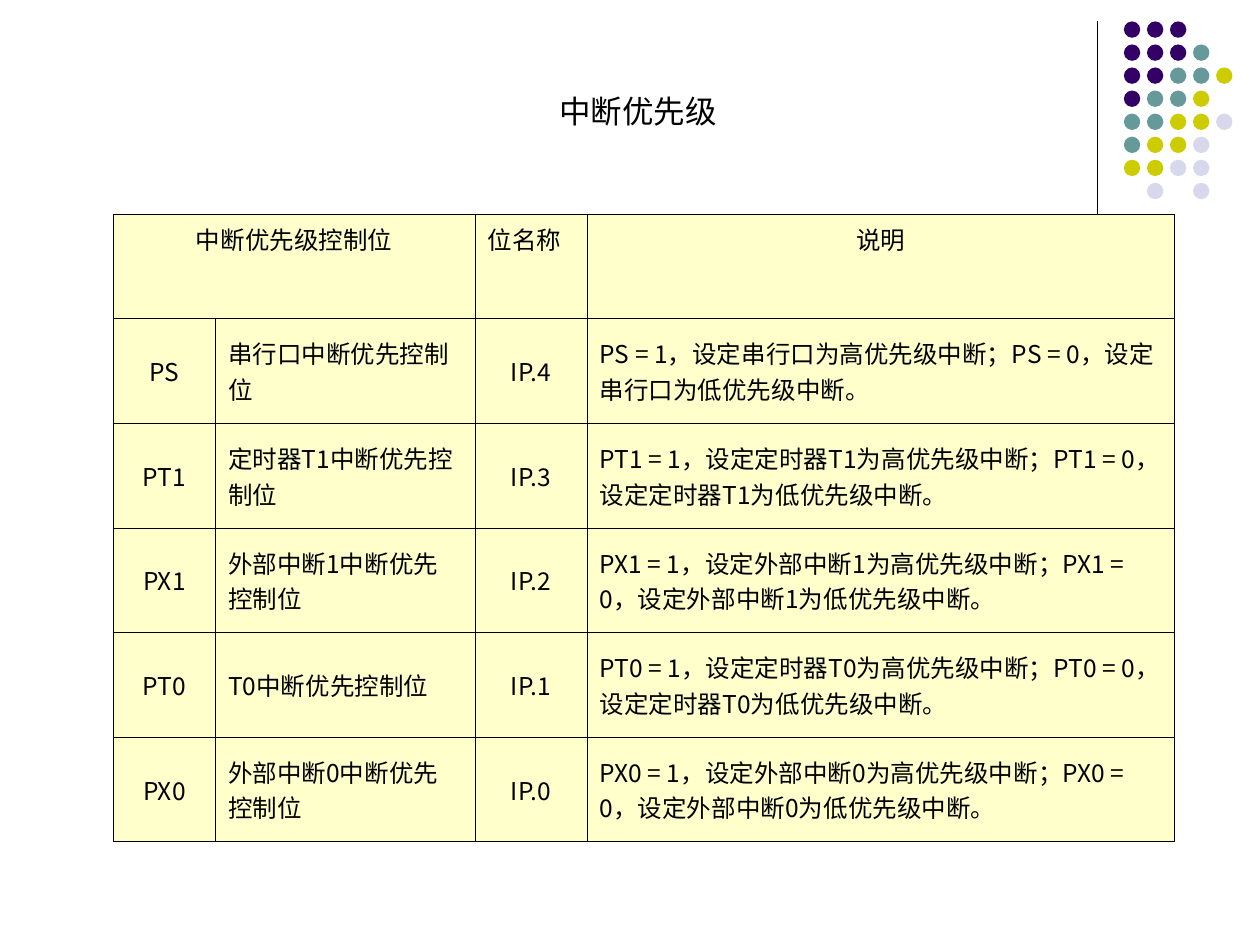
from dataclasses import dataclass

from lxml.etree import SubElement
from pptx import Presentation
from pptx.dml.color import RGBColor
from pptx.enum.shapes import MSO_CONNECTOR, MSO_SHAPE
from pptx.enum.text import MSO_ANCHOR, MSO_AUTO_SIZE, PP_ALIGN
from pptx.oxml import parse_xml
from pptx.oxml.ns import nsdecls, qn
from pptx.slide import Slide
from pptx.table import _Cell
from pptx.text.text import _Paragraph
from pptx.util import Inches, Pt


@dataclass(frozen=True)
class Theme:
    ink: str = "000000"
    cell_fill: str = "FFFFCC"
    purple: str = "330066"
    teal: str = "669999"
    olive: str = "CCCC00"
    lavender: str = "D8D8EC"
    title_size: float = 18
    table_size: float = 14
    rule_width: float = 0.75
    border_width: float = 0.45
    latin_font: str = "Arial"
    cjk_font: str = "Noto Sans CJK SC"


@dataclass(frozen=True)
class PriorityBit:
    symbol: str
    control: str
    source: str
    position: int

    def cells(self) -> list[str]:
        meaning = (f"{self.symbol} = 1，设定{self.source}为高优先级中断；"
                   f"{self.symbol} = 0，设定{self.source}为低优先级中断。")
        return [self.symbol, f"{self.control}中断优先控制位", f"IP.{self.position}", meaning]


THEME = Theme()
HEADER = ["中断优先级控制位", "", "位名称", "说明"]
PRIORITY_BITS = [
    PriorityBit("PS", "串行口", "串行口", 4),
    PriorityBit("PT1", "定时器T1", "定时器T1", 3),
    PriorityBit("PX1", "外部中断1", "外部中断1", 2),
    PriorityBit("PT0", "T0", "定时器T0", 1),
    PriorityBit("PX0", "外部中断0", "外部中断0", 0),
]
COLUMN_WIDTHS = [0.81, 2.06, 0.89, 4.66]
ROW_HEIGHT = 0.83

DOT_COLORS = {"P": THEME.purple, "T": THEME.teal, "O": THEME.olive, "L": THEME.lavender}
DOT_ROWS = ["PPP", "PPPT", "PPTTO", "PTTO", "TTOOL", "TOOL", "OOLL", ".L.L"]
DOT_LEFT, DOT_TOP, DOT_PITCH, DOT_SIZE = 8.92, 0.17, 0.183, 0.13


def rgb(color: str) -> RGBColor:
    return RGBColor.from_string(color)


def style_text(paragraph: _Paragraph, size: float, latin_font: str, align: PP_ALIGN) -> None:
    paragraph.alignment = align
    for run in paragraph.runs:
        run.font.size = Pt(size)
        run.font.name = latin_font
        run.font.color.rgb = rgb(THEME.ink)
        east_asian = SubElement(run.font._element, qn("a:ea"))
        east_asian.set("typeface", THEME.cjk_font)


def draw_rule(slide: Slide) -> None:
    rule = slide.shapes.add_connector(
        MSO_CONNECTOR.STRAIGHT, Inches(8.71), Inches(0.17), Inches(8.71), Inches(1.83))
    rule.line.color.rgb = rgb(THEME.ink)
    rule.line.width = Pt(THEME.rule_width)
    SubElement(rule._element.spPr, qn("a:effectLst"))


def draw_dots(slide: Slide) -> None:
    dots = slide.shapes.add_group_shape()
    for row, pattern in enumerate(DOT_ROWS):
        for column, code in enumerate(pattern):
            if code not in DOT_COLORS:
                continue
            dot = dots.shapes.add_shape(
                MSO_SHAPE.OVAL,
                Inches(DOT_LEFT + column * DOT_PITCH), Inches(DOT_TOP + row * DOT_PITCH),
                Inches(DOT_SIZE), Inches(DOT_SIZE))
            dot.shadow.inherit = False
            dot.fill.solid()
            dot.fill.fore_color.rgb = rgb(DOT_COLORS[code])
            dot.line.fill.background()


def write_title(slide: Slide) -> None:
    title = slide.shapes.title
    title.left, title.top = Inches(1.69), Inches(0.68)
    title.width, title.height = Inches(6.85), Inches(0.4)
    frame = title.text_frame
    frame.text = "中断优先级"
    frame.auto_size = MSO_AUTO_SIZE.NONE
    frame.vertical_anchor = MSO_ANCHOR.MIDDLE
    frame.margin_right = Inches(0.2)
    style_text(frame.paragraphs[0], THEME.title_size, THEME.latin_font, PP_ALIGN.CENTER)


def add_borders(cell: _Cell) -> None:
    """Put the four edge lines ahead of the fill, as the schema requires."""
    properties = cell._tc.get_or_add_tcPr()
    for index, edge in enumerate(("lnL", "lnR", "lnT", "lnB")):
        properties.insert(index, parse_xml(
            f'<a:{edge} {nsdecls("a")} w="{Pt(THEME.border_width)}"><a:solidFill>'
            f'<a:srgbClr val="{THEME.ink}"/></a:solidFill></a:{edge}>'))


def fill_cell(cell: _Cell, text: str, align: PP_ALIGN, anchor: MSO_ANCHOR) -> None:
    cell.text_frame.text = text
    cell.vertical_anchor = anchor
    cell.fill.solid()
    cell.fill.fore_color.rgb = rgb(THEME.cell_fill)
    add_borders(cell)
    style_text(cell.text_frame.paragraphs[0], THEME.table_size, THEME.cjk_font, align)


def draw_priority_table(slide: Slide) -> None:
    rows = [HEADER] + [bit.cells() for bit in PRIORITY_BITS]
    table = slide.shapes.add_table(
        len(rows), len(COLUMN_WIDTHS), Inches(0.9), Inches(1.7),
        Inches(sum(COLUMN_WIDTHS)), Inches(ROW_HEIGHT * len(rows))).table
    for column, width in zip(table.columns, COLUMN_WIDTHS):
        column.width = Inches(width)
    for row in table.rows:
        row.height = Inches(ROW_HEIGHT)
    table.cell(0, 0).merge(table.cell(0, 1))

    left, center = PP_ALIGN.LEFT, PP_ALIGN.CENTER
    header_aligns = [center, center, left, center]
    body_aligns = [center, left, center, left]
    for row_index, texts in enumerate(rows):
        aligns = body_aligns if row_index else header_aligns
        anchor = MSO_ANCHOR.MIDDLE if row_index else MSO_ANCHOR.TOP
        for column_index, (text, align) in enumerate(zip(texts, aligns)):
            fill_cell(table.cell(row_index, column_index), text, align, anchor)


def main() -> None:
    presentation = Presentation()
    presentation.slide_width, presentation.slide_height = Inches(10), Inches(7.5)
    slide = presentation.slides.add_slide(presentation.slide_layouts.get_by_name("Title Only"))
    draw_rule(slide)
    draw_dots(slide)
    write_title(slide)
    draw_priority_table(slide)
    presentation.save("out.pptx")


if __name__ == "__main__":
    main()
